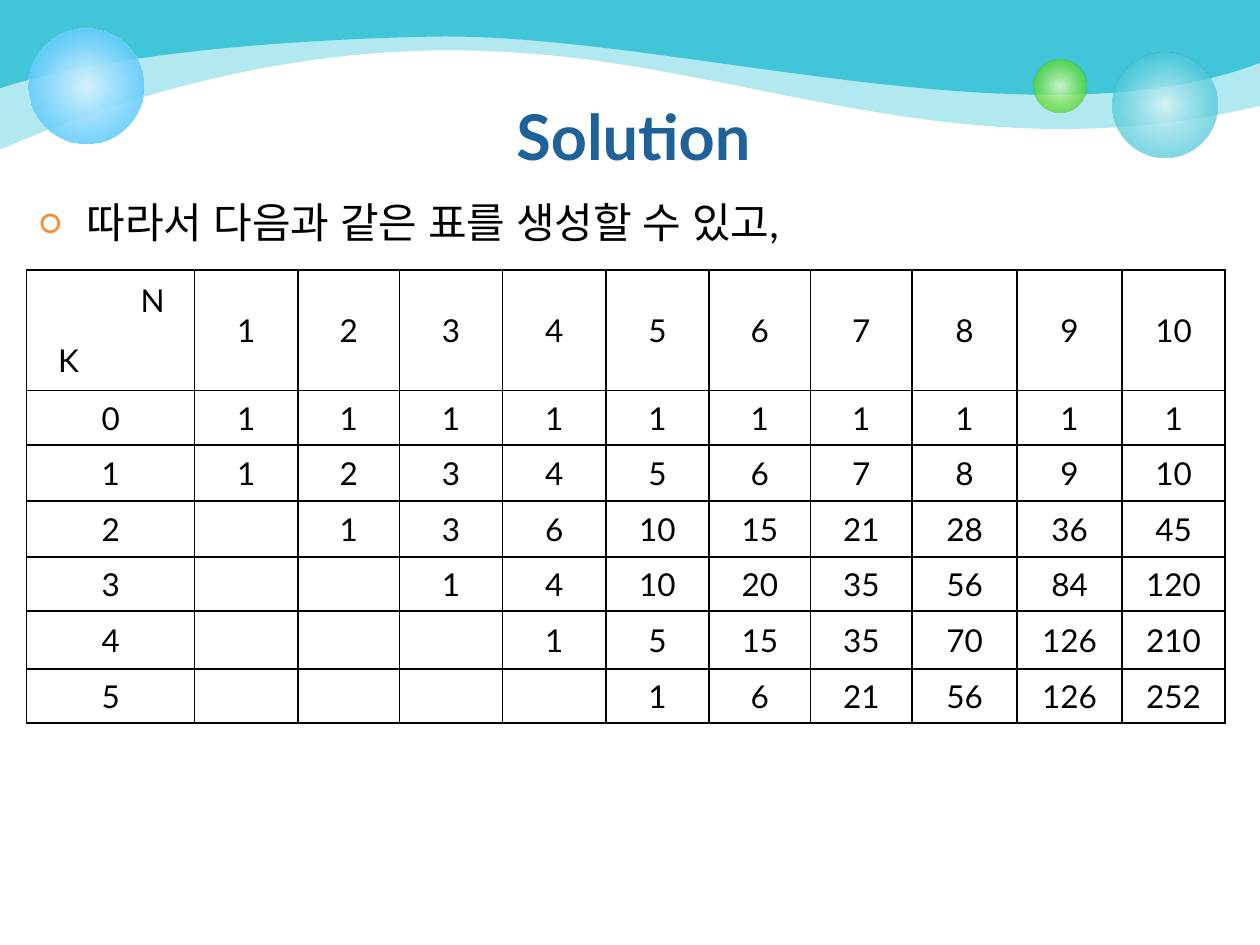
from dataclasses import dataclass
from math import comb

from lxml import etree
from pptx import Presentation
from pptx.dml.color import RGBColor
from pptx.enum.shapes import MSO_SHAPE
from pptx.enum.text import MSO_ANCHOR, MSO_AUTO_SIZE, PP_ALIGN
from pptx.oxml.ns import qn
from pptx.util import Pt

OVAL = MSO_SHAPE.OVAL
CENTER, LEFT = PP_ALIGN.CENTER, PP_ALIGN.LEFT
TOP, MIDDLE = MSO_ANCHOR.TOP, MSO_ANCHOR.MIDDLE
NO_AUTOFIT = MSO_AUTO_SIZE.NONE
TITLE_ONLY = 5


@dataclass(frozen=True)
class Theme:
    font: str = "Lato"
    title: str = "1F6299"
    text: str = "000000"
    bullet: str = "FE8C2E"
    wave: str = "40C6D8"
    title_size: float = 36
    body_size: float = 24
    cell_size: float = 18


THEME = Theme()

# Left end, then two cubic curves (two control points and an end each), in points
PALE_WAVE = [(0, 85.5), (24, 75.5), (142, 22), (285, 29.5),
             (428.5, 36), (548.5, 101), (720, 60.5)]
SOLID_WAVE = [(0, 50.5), (32.5, 39.5), (110, 24), (245.5, 21),
              (381, 18), (590.5, 85.5), (720, 36)]

# Left, top, diameter, gradient stops (position, colour, opacity in percent)
BUBBLES = [
    (635.75, 30, 60, [(0, "D9F4F7", 90), (76, "40C6D8", 70)]),
    (590.5, 34, 30.5, [(0, "DAFACD", 90), (76, "4CD416", 70)]),
    (16.5, 16.5, 65.5, [(0, "D6F2FE", 100), (100, "33BDFB", 80)]),
]

COL_WIDTHS = [48, 48, 59, 58, 59, 59, 59, 58, 58, 60, 60, 59]
ROW_HEIGHTS = [34.5, 34.5, 31, 32, 32, 31, 33, 31]
HEAD = 2  # rows and columns taken by the headings


def sub(parent, tag, **attrs):
    return etree.SubElement(parent, qn(tag), {k: str(v) for k, v in attrs.items()})


def write(tf, text, size, color=THEME.text, bold=False, align=CENTER):
    p = tf.paragraphs[0]
    p.alignment = align
    r = p.add_run()
    r.text = text
    r.font.name = THEME.font
    r.font.size = Pt(size)
    r.font.bold = bold
    r.font.color.rgb = RGBColor.from_string(color)
    sub(r._r.get_or_add_rPr(), "a:ea", typeface=THEME.font)
    return p


def curve_segments(sp, first, count):
    """Turn line segments, three for each curve, into cubic curves."""
    lines = list(sp._element.iter(qn("a:lnTo")))[first:first + 3 * count]
    for i in range(0, len(lines), 3):
        curve = etree.Element(qn("a:cubicBezTo"))
        lines[i].addprevious(curve)
        for line in lines[i:i + 3]:
            curve.append(line[0])
            line.getparent().remove(line)


def add_wave(slide, edge, opacity=100):
    builder = slide.shapes.build_freeform(0, 0)
    builder.add_line_segments([(Pt(x), Pt(y)) for x, y in [*edge, (720, 0)]], close=True)
    sp = builder.convert_to_shape()
    curve_segments(sp, first=1, count=2)
    sp.shadow.inherit = False
    sp.line.fill.background()
    sp.fill.solid()
    sp.fill.fore_color.rgb = RGBColor.from_string(THEME.wave)
    if opacity < 100:
        color = sp._element.spPr.find(qn("a:solidFill"))[0]
        sub(color, "a:alpha", val=opacity * 1000)


def add_bubble(slide, left, top, diameter, stops):
    sp = slide.shapes.add_shape(OVAL, Pt(left), Pt(top), Pt(diameter), Pt(diameter))
    sp.shadow.inherit = False
    sp.line.fill.background()
    sp.fill.gradient()
    grad = sp._element.spPr.find(qn("a:gradFill"))
    for child in list(grad):
        grad.remove(child)
    gs_list = sub(grad, "a:gsLst")
    for pos, color, opacity in stops:
        gs = sub(gs_list, "a:gs", pos=pos * 1000)
        sub(sub(gs, "a:srgbClr", val=color), "a:alpha", val=opacity * 1000)
    radial = sub(grad, "a:path", path="circle")
    sub(radial, "a:fillToRect", l=50000, t=50000, r=50000, b=50000)


def add_title(slide, text):
    title = slide.shapes.title
    title.left, title.top, title.width, title.height = Pt(38), Pt(52), Pt(648), Pt(57)
    tf = title.text_frame
    tf.auto_size = NO_AUTOFIT
    tf.vertical_anchor = TOP
    write(tf, text, THEME.title_size, color=THEME.title, bold=True)
    slide.shapes._spTree.append(title._element)  # in front of the waves


def add_bullet_text(slide, text):
    tf = slide.shapes.add_textbox(Pt(15), Pt(108.5), Pt(690), Pt(356.5)).text_frame
    tf.word_wrap = True
    p = write(tf, text, THEME.body_size, align=LEFT)
    p.space_before = Pt(4.8)
    pPr = p._p.get_or_add_pPr()
    pPr.set("marL", str(Pt(27.5)))
    pPr.set("indent", str(-Pt(27.5)))
    sub(sub(pPr, "a:buClr"), "a:srgbClr", val=THEME.bullet)
    sub(pPr, "a:buSzPct", val=85000)
    sub(pPr, "a:buFont", typeface=THEME.font)
    sub(pPr, "a:buChar", char="○")


def set_borders(cell, hidden=()):
    """Draw a thin line on each side of the cell that is not hidden."""
    tcPr = cell._tc.get_or_add_tcPr()
    for i, side in enumerate("LRTB"):
        ln = etree.Element(qn(f"a:ln{side}"), w=str(Pt(1)))
        if side in hidden:
            sub(ln, "a:noFill")
        else:
            sub(sub(ln, "a:solidFill"), "a:srgbClr", val=THEME.text)
        tcPr.insert(i, ln)


def cell_text(row, col):
    n, k = col - HEAD + 1, row - HEAD
    if row < HEAD and col < HEAD:
        return {(0, 1): "N", (1, 0): "K"}.get((row, col), "")
    if row < HEAD:
        return str(n) if row == 0 else ""
    if col < HEAD:
        return str(k) if col == 0 else ""
    return str(comb(n, k)) if k <= n else ""


def add_binomial_table(slide):
    rows, cols = len(ROW_HEIGHTS), len(COL_WIDTHS)
    table = slide.shapes.add_table(rows, cols, Pt(15.25), Pt(154.3), Pt(sum(COL_WIDTHS)),
                                   Pt(sum(ROW_HEIGHTS))).table
    table.first_row = table.horz_banding = False
    for column, width in zip(table.columns, COL_WIDTHS):
        column.width = Pt(width)
    for row, height in zip(table.rows, ROW_HEIGHTS):
        row.height = Pt(height)
    for col in range(HEAD, cols):
        table.cell(0, col).merge(table.cell(HEAD - 1, col))
    for row in range(HEAD, rows):
        table.cell(row, 0).merge(table.cell(row, HEAD - 1))

    for row in range(rows):
        for col in range(cols):
            cell = table.cell(row, col)
            cell.fill.background()
            cell.vertical_anchor = MIDDLE
            corner = row < HEAD and col < HEAD
            inner = ("B" if row == 0 else "T") + ("R" if col == 0 else "L")
            set_borders(cell, hidden=inner if corner else ())
            text = cell_text(row, col)
            if text:
                write(cell.text_frame, text, THEME.cell_size)


def main():
    prs = Presentation()
    prs.slide_width, prs.slide_height = Pt(720), Pt(540)
    slide = prs.slides.add_slide(prs.slide_layouts[TITLE_ONLY])
    add_wave(slide, PALE_WAVE, opacity=40)
    add_wave(slide, SOLID_WAVE)
    for bubble in BUBBLES:
        add_bubble(slide, *bubble)
    add_title(slide, "Solution")
    add_bullet_text(slide, "따라서 다음과 같은 표를 생성할 수 있고,")
    add_binomial_table(slide)
    prs.save("out.pptx")


if __name__ == "__main__":
    main()
